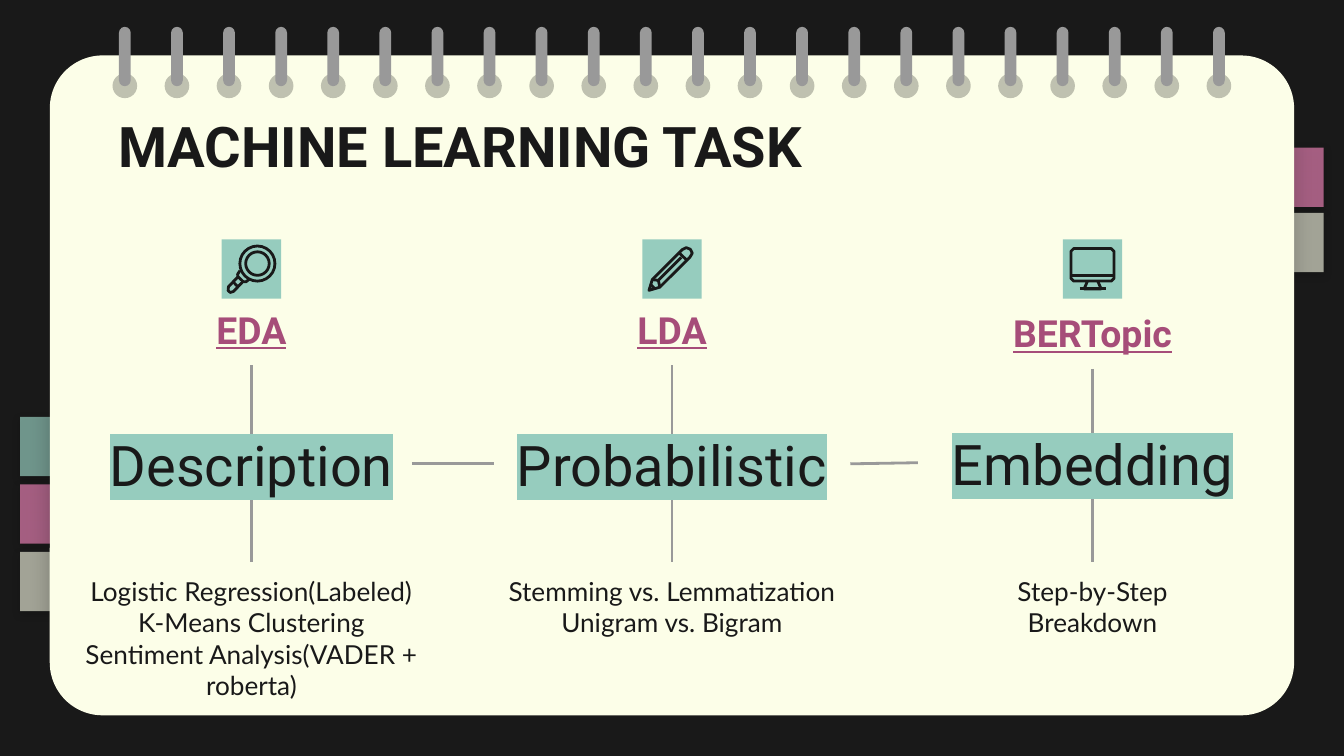
from lxml.etree import SubElement
from pptx import Presentation
from pptx.dml.color import RGBColor
from pptx.enum.shapes import MSO_CONNECTOR, MSO_SHAPE
from pptx.enum.text import MSO_ANCHOR, PP_ALIGN
from pptx.oxml.ns import qn
from pptx.util import Pt

COLORS = {"ink": "191919", "cream": "FCFEE8", "pink": "F688BE", "mint": "96CCBE",
          "gray": "999999", "black": "000000", "plum": "A64D79"}
TOP, LEFT, BOTTOM, RIGHT = 0, 1, 2, 3
ICON_SIZE = 31.8

# Icon parts in points from the corner of the icon square.
# Circles are (centre x, centre y, radius); strokes are (points, closed).
ICONS = {
    "magnifier": {
        "circles": [(19.1, 13, 9.4), (19.1, 13, 6.3)],
        "strokes": [
            ([(9.8, 16.8), (8.5, 18.8), (8.7, 20), (11.6, 22.8), (13, 22.8), (14.8, 21.4)], False),
            ([(8.6, 20.2), (3.6, 25.4), (3.4, 27.5), (4.6, 28.5), (6.4, 27.9), (11.2, 22.8)], False),
            ([(6.1, 22.8), (8.7, 25.5)], False)]},
    "pencil": {
        "circles": [],
        "strokes": [
            ([(3.6, 27.4), (5.4, 21.6), (21.4, 5.6), (23.6, 4.5), (25.8, 5.4),
              (26.8, 7.5), (25.6, 9.6), (9.4, 25.7)], True),
            ([(19.6, 7.2), (24, 11.3)], False),
            ([(20.9, 9.7), (8.6, 22)], False),
            ([(5.4, 21.6), (8.6, 22), (9.4, 25.7)], False),
            ([(4.5, 24.2), (6.8, 26.5)], False)]},
    "monitor": {
        "circles": [],
        "strokes": [
            ([(5.8, 5), (25.9, 5), (27.4, 6.5), (27.4, 20.9), (25.9, 22.4),
              (5.8, 22.4), (4.3, 20.9), (4.3, 6.5)], True),
            ([(4.3, 19.4), (27.4, 19.4)], False),
            ([(13.2, 22.4), (11.4, 26.6), (20.5, 26.6), (18.7, 22.4)], False),
            ([(9, 26.6), (23, 26.6)], False)]},
}

# icon, heading, heading top, keyword, keyword top, keyword width, details, details width
COLUMNS = [
    ("magnifier", "EDA", 164, "Description", 232.6, 172,
     ["Logistic Regression(Labeled)", "K-Means Clustering", "Sentiment Analysis(VADER + roberta)"], 226),
    ("pencil", "LDA", 164, "Probabilistic", 232.6, 191,
     ["Stemming vs. Lemmatization", "Unigram vs. Bigram"], 235.4),
    ("monitor", "BERTopic", 165.8, "Embedding", 232, 187.2,
     ["Step-by-Step Breakdown"], 157),
]


def rgb(name):
    return RGBColor.from_string(COLORS[name])


def add_filled(slide, kind, left, top, width, height, color, alpha=100):
    shape = slide.shapes.add_shape(kind, Pt(left), Pt(top), Pt(width), Pt(height))
    shape.shadow.inherit = False
    shape.line.fill.background()
    shape.fill.solid()
    shape.fill.fore_color.rgb = rgb(color)
    if alpha < 100:
        color_element = shape.fill._xPr.find(".//" + qn("a:srgbClr"))
        SubElement(color_element, qn("a:alpha"), val=str(alpha * 1000))
    return shape


def add_shadow(shape, color, alpha, blur, distance, angle):
    effects = shape._element.spPr.find(qn("a:effectLst"))
    shadow = SubElement(effects, qn("a:outerShdw"), blurRad=str(Pt(blur)),
                        dist=str(Pt(distance)), dir=str(angle * 60000),
                        algn="bl", rotWithShape="0")
    color_element = SubElement(shadow, qn("a:srgbClr"), val=COLORS[color])
    SubElement(color_element, qn("a:alpha"), val=str(alpha * 1000))


def add_text(slide, left, top, width, height, lines, size, font="Roboto", color="ink",
             anchor=MSO_ANCHOR.TOP, align=PP_ALIGN.CENTER, bold=False, underline=False,
             highlight=None):
    box = slide.shapes.add_textbox(Pt(left), Pt(top), Pt(width), Pt(height))
    frame = box.text_frame
    frame.word_wrap = True
    frame.vertical_anchor = anchor
    frame.margin_left = frame.margin_right = frame.margin_top = frame.margin_bottom = Pt(7.2)
    frame.text = "\n".join(lines)
    for paragraph in frame.paragraphs:
        paragraph.alignment = align
        paragraph.font.name = font
        paragraph.font.size = Pt(size)
        paragraph.font.bold = bold
        paragraph.font.underline = underline
        paragraph.font.color.rgb = rgb(color)
        if highlight:
            properties = paragraph.runs[0]._r.get_or_add_rPr()
            mark = SubElement(properties, qn("a:highlight"))
            SubElement(mark, qn("a:srgbClr"), val=COLORS[highlight])
    return box


def add_line(slide, start, end, color):
    line = slide.shapes.add_connector(MSO_CONNECTOR.STRAIGHT, *map(Pt, start + end))
    line.line.color.rgb = rgb(color)
    line.line.width = Pt(1.5)
    SubElement(line._element.spPr, qn("a:effectLst"))
    return line


def join(slide, first, first_side, second, second_side):
    line = add_line(slide, (0, 0), (0, 0), "gray")
    line.begin_connect(first, first_side)
    line.end_connect(second, second_side)
    first._element.addprevious(line._element)  # keeps the line behind the highlighted text


def add_tabs(slide, left, top, pitch, tabs):
    for index, (color, alpha) in enumerate(tabs):
        tab = add_filled(slide, MSO_SHAPE.RECTANGLE, left, top + index * pitch,
                         105.1, 31.8, color, alpha)
        add_shadow(tab, "black", 25, 4.5, 1.5, 90)


def add_notebook(slide, left, top, width, height):
    card = add_filled(slide, MSO_SHAPE.ROUNDED_RECTANGLE, left, top, width, height, "cream")
    card.adjustments[0] = 0.08
    add_shadow(card, "ink", 26, 11.2, 0.8, 124)
    for index in range(22):
        center = left + 40.2 + index * 27.91
        add_filled(slide, MSO_SHAPE.OVAL, center - 6.6, top + 9.7, 13.2, 13.2, "black", 24)
        ring = add_filled(slide, MSO_SHAPE.ROUNDED_RECTANGLE, center - 3.15, top - 15.3,
                          6.3, 31.8, "gray")
        ring.adjustments[0] = 0.5


def add_icon(slide, left, top, name):
    add_filled(slide, MSO_SHAPE.RECTANGLE, left, top, ICON_SIZE, ICON_SIZE, "mint")
    outlines = []
    for x, y, radius in ICONS[name]["circles"]:
        outlines.append(slide.shapes.add_shape(
            MSO_SHAPE.OVAL, Pt(left + x - radius), Pt(top + y - radius),
            Pt(2 * radius), Pt(2 * radius)))
    for points, closed in ICONS[name]["strokes"]:
        placed = [(left + x, top + y) for x, y in points]
        if len(placed) == 2:
            add_line(slide, *placed, "ink")
            continue
        corners = [(Pt(x), Pt(y)) for x, y in placed]
        builder = slide.shapes.build_freeform(*corners[0])
        builder.add_line_segments(corners[1:], close=closed)
        outlines.append(builder.convert_to_shape())
    for outline in outlines:
        outline.shadow.inherit = False
        outline.fill.background()
        outline.line.color.rgb = rgb("ink")
        outline.line.width = Pt(1.5)


def add_column(slide, center, icon, heading, heading_top, keyword, keyword_top,
               keyword_width, details, details_width):
    """Place one task column and return its keyword box."""
    add_icon(slide, center - ICON_SIZE / 2, 128.2, icon)
    heading_box = add_text(slide, center - 78.5, heading_top, 157, 31.8, [heading], 20,
                           color="plum", anchor=MSO_ANCHOR.BOTTOM, bold=True, underline=True)
    keyword_box = add_text(slide, center - keyword_width / 2, keyword_top, keyword_width, 31.8,
                           [keyword], 30, anchor=MSO_ANCHOR.MIDDLE, highlight="mint")
    details_box = add_text(slide, center - details_width / 2, 301, details_width, 50.4,
                           details, 14, font="Lato")
    join(slide, heading_box, BOTTOM, keyword_box, TOP)
    join(slide, keyword_box, BOTTOM, details_box, TOP)
    return keyword_box


def main():
    presentation = Presentation()
    presentation.slide_width, presentation.slide_height = Pt(720), Pt(405)
    slide = presentation.slides.add_slide(presentation.slide_layouts[6])
    slide.background.fill.solid()
    slide.background.fill.fore_color.rgb = rgb("ink")

    add_tabs(slide, 10.8, 223.3, 36.2, [("mint", 70), ("pink", 64), ("cream", 61)])
    add_tabs(slide, 604.1, 79.1, 35, [("pink", 64), ("cream", 61)])
    add_notebook(slide, 26.7, 29.7, 666.6, 353.5)
    add_text(slide, 56.2, 52.6, 607, 45.4, ["MACHINE LEARNING TASK"], 30,
             align=PP_ALIGN.LEFT, bold=True)
    keywords = [add_column(slide, 134.7 + index * 225.3, *column)
                for index, column in enumerate(COLUMNS)]
    for first, second in zip(keywords, keywords[1:]):
        join(slide, first, RIGHT, second, LEFT)
    presentation.save("out.pptx")


if __name__ == "__main__":
    main()
